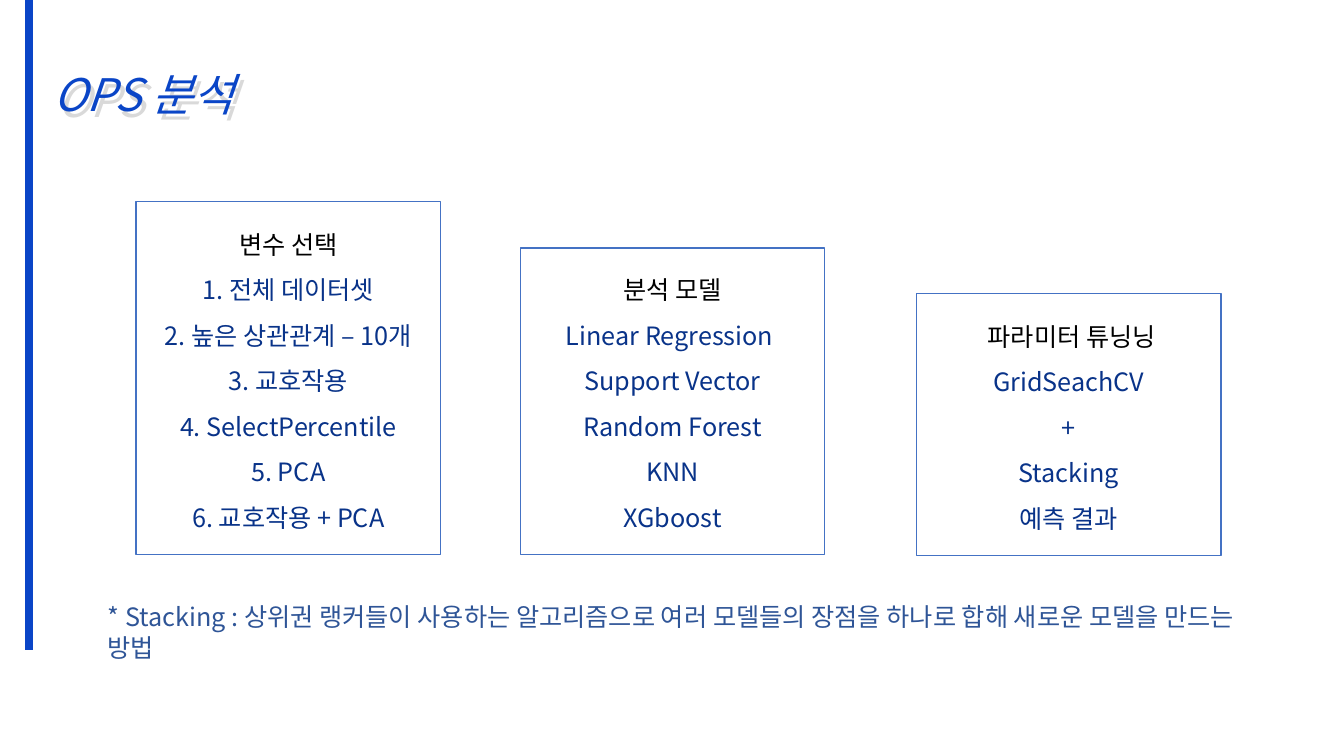
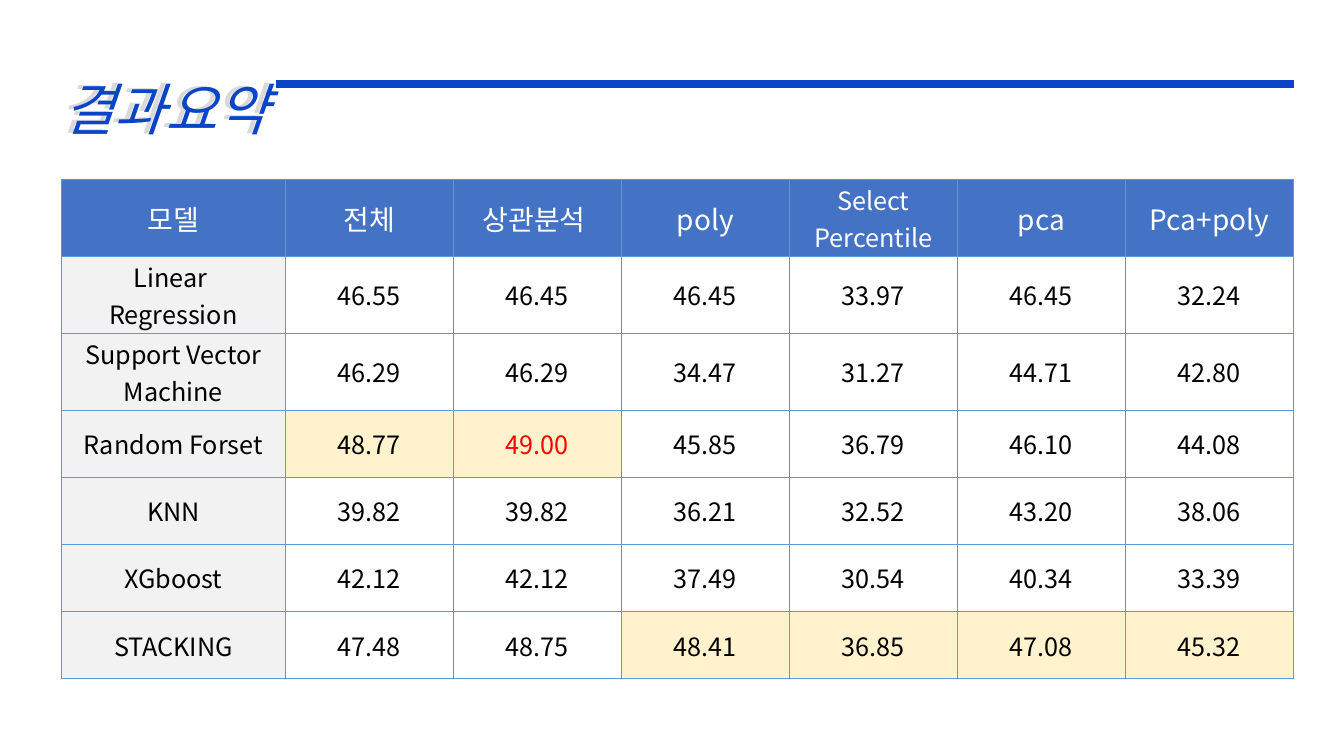
from dataclasses import dataclass

from pptx import Presentation
from pptx.dml.color import RGBColor
from pptx.enum.shapes import MSO_CONNECTOR, MSO_SHAPE
from pptx.enum.text import MSO_ANCHOR, MSO_AUTO_SIZE, PP_ALIGN
from pptx.oxml.ns import qn
from pptx.util import Inches, Pt
from lxml import etree

STRAIGHT = MSO_CONNECTOR.STRAIGHT
RECTANGLE = MSO_SHAPE.RECTANGLE
LEFT, CENTER = PP_ALIGN.LEFT, PP_ALIGN.CENTER
TOP, MIDDLE, BOTTOM = MSO_ANCHOR.TOP, MSO_ANCHOR.MIDDLE, MSO_ANCHOR.BOTTOM
FIT_SHAPE = MSO_AUTO_SIZE.SHAPE_TO_FIT_TEXT


@dataclass(frozen=True)
class Theme:
    font: str = "Noto Sans CJK KR"
    accent: str = "0A45C7"
    title_shadow: str = "D9D9D9"
    outline: str = "4472C4"
    list_text: str = "093389"
    note_text: str = "2F5597"
    header_fill: str = "4472C4"
    label_fill: str = "F2F2F2"
    best_fill: str = "FFF2CC"
    best_text: str = "FF0000"
    grid: str = "5B9BD5"
    white: str = "FFFFFF"
    black: str = "000000"
    body: int = 18
    header: int = 20
    title_leading: float = 1.28
    list_leading: float = 32.5
    note_leading: float = 22
    band: float = 5.5


THEME = Theme()

STEPS = [
    # left, top, height, heading, items
    (1.35, 2.0, 3.5, "변수 선택",
     ["1. 전체 데이터셋", "2. 높은 상관관계 – 10개", "3. 교호작용",
      "4. SelectPercentile", "5. PCA", "6. 교호작용 + PCA"]),
    (5.16, 2.46, 3.04, "분석 모델",
     ["Linear Regression ", "Support Vector", "Random Forest", "KNN", "XGboost"]),
    (9.09, 2.91, 2.6, " 파라미터 튜닝닝",
     ["GridSeachCV", "+", "Stacking", "예측 결과"]),
]
STEP_WIDTH = 3.02
NOTE = ("* Stacking : 상위권 랭커들이 사용하는 알고리즘으로 여러 모델들의 "
        "장점을 하나로 합해 새로운 모델을 만드는 방법")

HEADERS = ["모델", "전체", "상관분석 ", "poly", "Select\nPercentile", "pca", "Pca+poly"]
SCORES = [
    ("Linear \nRegression", "46.55", "46.45", "46.45", "33.97", "46.45", "32.24"),
    ("Support Vector Machine", "46.29", "46.29", "34.47", "31.27", "44.71", "42.80"),
    ("Random Forset", "48.77", "49.00", "45.85", "36.79", "46.10", "44.08"),
    ("KNN", "39.82", "39.82", "36.21", "32.52", "43.20", "38.06"),
    ("XGboost", "42.12", "42.12", "37.49", "30.54", "40.34", "33.39"),
    ("STACKING", "47.48", "48.75", "48.41", "36.85", "47.08", "45.32"),
]


def color(value):
    return RGBColor.from_string(value)


def write(frame, text, size=THEME.body, ink=THEME.black, first_ink=None,
          italic=False, align=LEFT, leading=None):
    """Fill a text frame, one paragraph a line."""
    for index, line in enumerate(text.split("\n")):
        para = frame.add_paragraph() if index else frame.paragraphs[0]
        para.alignment = align
        if leading:
            para.line_spacing = Pt(leading)
        span = para.add_run()
        span.text = line
        font = span.font
        font.name, font.size, font.italic = THEME.font, Pt(size), italic
        font.color.rgb = color(first_ink if first_ink and not index else ink)
        east_asian = etree.SubElement(font._element, qn("a:ea"))
        east_asian.set("typeface", THEME.font)


def add_text(page, box, text, wrap=True, **style):
    area = page.shapes.add_textbox(*map(Inches, box))
    area.text_frame.word_wrap = wrap
    area.text_frame.auto_size = FIT_SHAPE
    area.text_frame.vertical_anchor = TOP
    write(area.text_frame, text, **style)


def add_title(page, box, text, size, shadow_box):
    """Italic title over a grey offset of itself."""
    for place, ink in ((shadow_box, THEME.title_shadow), (box, THEME.accent)):
        add_text(page, place, text, wrap=False, size=size, ink=ink, italic=True,
                 leading=round(size * THEME.title_leading))


def add_band(page, start, end):
    band = page.shapes.add_connector(STRAIGHT, *map(Inches, start + end))
    band.line.color.rgb = color(THEME.accent)
    band.line.width = Pt(THEME.band)
    etree.SubElement(band._element.spPr, qn("a:effectLst"))


def add_step(page, box, heading, items):
    """Outlined box: black heading over blue items."""
    step = page.shapes.add_shape(RECTANGLE, *map(Inches, box))
    step.shadow.inherit = False
    step.fill.solid()
    step.fill.fore_color.rgb = color(THEME.white)
    step.line.color.rgb = color(THEME.outline)
    step.line.width = Pt(1)
    frame = step.text_frame
    frame.word_wrap = True
    frame.vertical_anchor = BOTTOM
    frame.margin_bottom = Inches(0.22)
    write(frame, "\n".join([heading] + items), ink=THEME.list_text,
          first_ink=THEME.black, align=CENTER, leading=THEME.list_leading)


def add_borders(cell):
    properties = cell._tc.get_or_add_tcPr()
    for index, side in enumerate(("lnL", "lnR", "lnT", "lnB")):
        edge = etree.Element(qn("a:" + side), w=str(Pt(1)))
        fill = etree.SubElement(edge, qn("a:solidFill"))
        etree.SubElement(fill, qn("a:srgbClr"), val=THEME.grid)
        properties.insert(index, edge)


def format_cell(cell, text, fill, **style):
    cell.fill.solid()
    cell.fill.fore_color.rgb = color(fill)
    cell.vertical_anchor = MIDDLE
    cell.margin_left = cell.margin_right = Inches(0.07)
    cell.margin_top = cell.margin_bottom = Inches(0.02)
    write(cell.text_frame, text, align=CENTER, **style)
    add_borders(cell)


def add_scores(page, box, label_width):
    """Score table: the best score of each column is tinted, the top one red."""
    left, top, width, height = box
    row_count, column_count = len(SCORES) + 1, len(HEADERS)
    table = page.shapes.add_table(row_count, column_count, *map(Inches, box)).table
    score_width = (width - label_width) / (column_count - 1)
    for index, column in enumerate(table.columns):
        column.width = Inches(score_width if index else label_width)
    for row in table.rows:
        row.height = Inches(height / row_count)

    for index, text in enumerate(HEADERS):
        size = THEME.body if "\n" in text else THEME.header
        format_cell(table.cell(0, index), text, THEME.header_fill,
                    size=size, ink=THEME.white)

    best = [max(column) for column in list(zip(*SCORES))[1:]]
    for row_index, (label, *scores) in enumerate(SCORES, 1):
        format_cell(table.cell(row_index, 0), label, THEME.label_fill)
        for index, score in enumerate(scores):
            fill = THEME.best_fill if score == best[index] else THEME.white
            ink = THEME.best_text if score == max(best) else THEME.black
            format_cell(table.cell(row_index, index + 1), score, fill, ink=ink)


def build_analysis(page):
    add_title(page, (0.43, 0.58, 2.27, 0.64), "OPS 분석", 32,
              shadow_box=(0.47, 0.64, 2.15, 0.64))
    add_band(page, (0.29, 0), (0.29, 6.45))
    for left, top, height, heading, items in STEPS:
        add_step(page, (left, top, STEP_WIDTH, height), heading, items)
    add_text(page, (0.97, 5.91, 11.62, 0.71), NOTE, ink=THEME.note_text,
             leading=THEME.note_leading)


def build_summary(page):
    add_scores(page, (0.61, 1.78, 12.22, 4.66), label_width=2.22)
    add_title(page, (0.52, 0.65, 2.26, 0.77), "결과요약", 40,
              shadow_box=(0.47, 0.64, 2.26, 0.77))
    add_band(page, (2.74, 0.83), (12.83, 0.83))


def main():
    deck = Presentation()
    deck.slide_width, deck.slide_height = Inches(13.33), Inches(7.5)
    blank = deck.slide_layouts[6]
    for build in (build_analysis, build_summary):
        build(deck.slides.add_slide(blank))
    deck.save("out.pptx")


if __name__ == "__main__":
    main()
